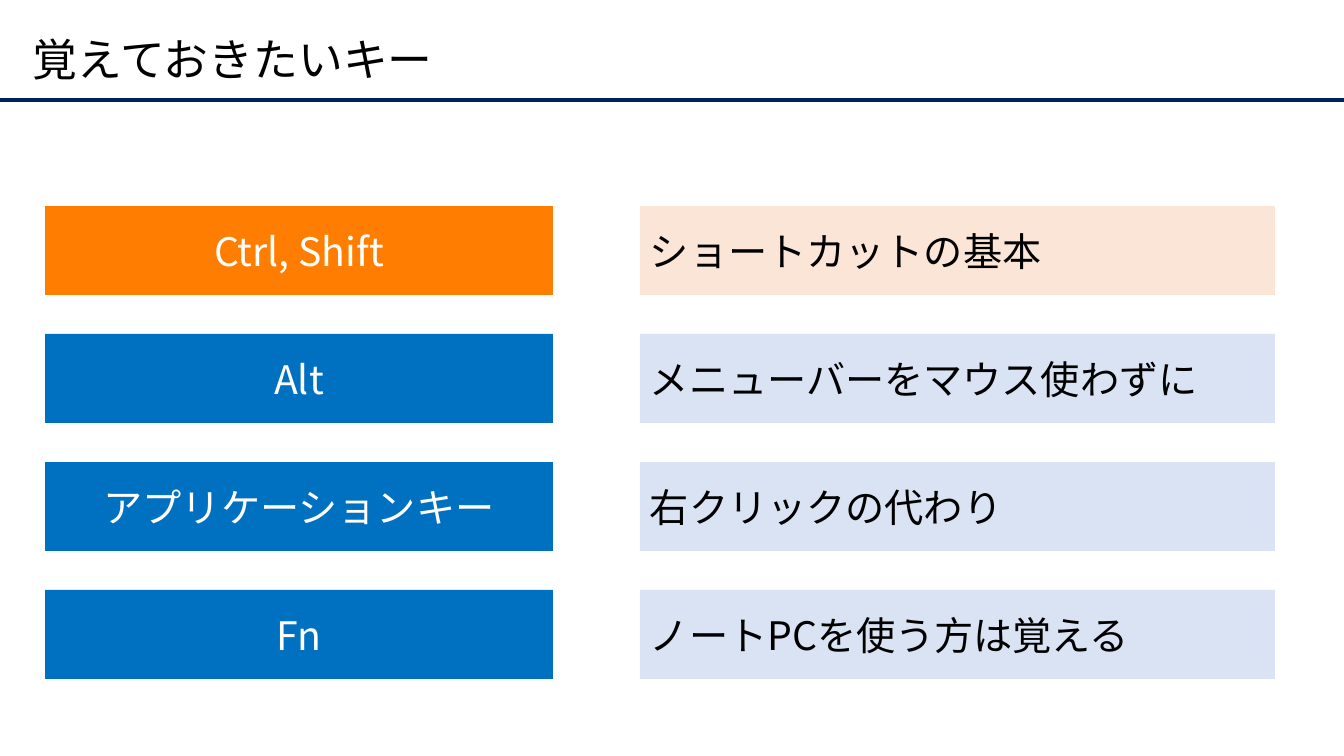
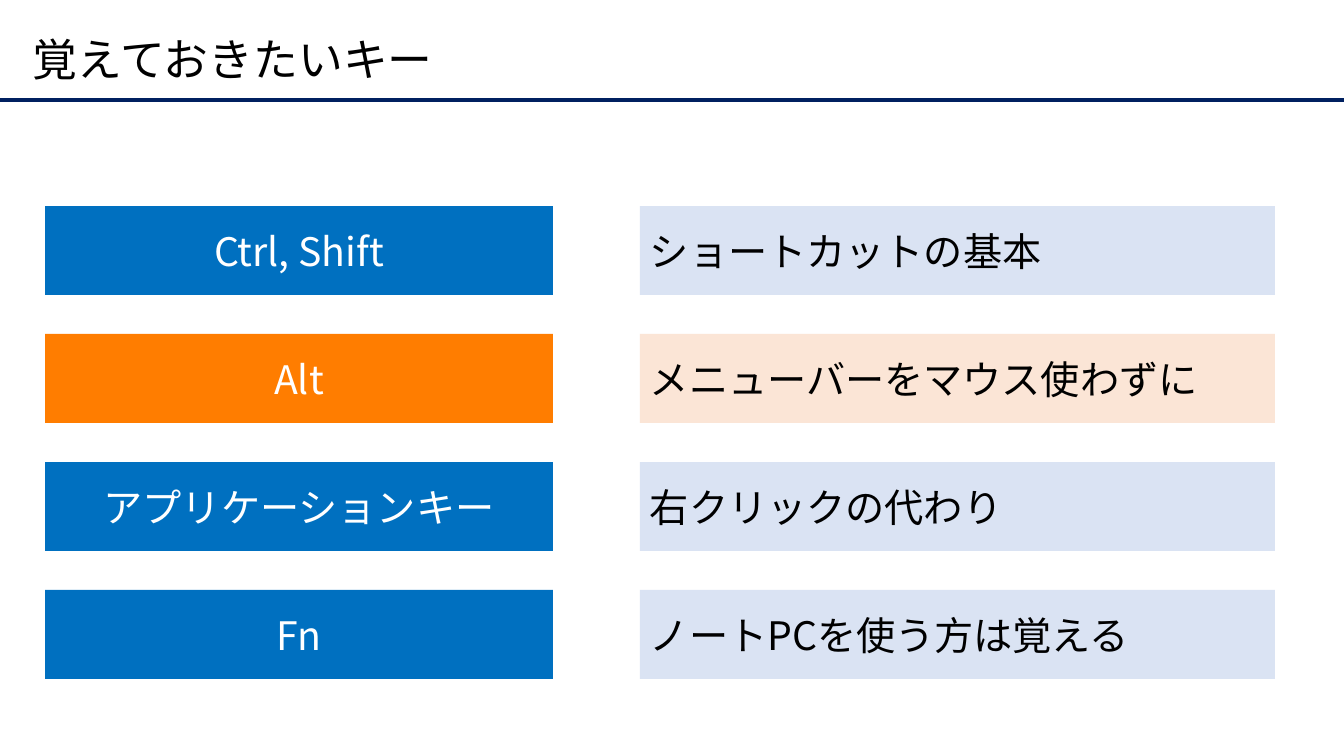
from lxml.etree import SubElement
from pptx import Presentation
from pptx.dml.color import RGBColor
from pptx.enum.shapes import MSO_CONNECTOR, MSO_SHAPE
from pptx.enum.text import MSO_ANCHOR, PP_ALIGN
from pptx.oxml.ns import qn
from pptx.util import Pt

PX = 914400 / 100.8
WIDTH, HEIGHT = 1344, 756
FONT = "Noto Sans CJK JP"

BLACK = RGBColor(0x00, 0x00, 0x00)
WHITE = RGBColor(0xFF, 0xFF, 0xFF)
NAVY = RGBColor(0x00, 0x20, 0x60)
BLUE = RGBColor(0x00, 0x70, 0xC0)
PALE_BLUE = RGBColor(0xDA, 0xE3, 0xF3)
ORANGE = RGBColor(0xFF, 0x7D, 0x00)
PALE_ORANGE = RGBColor(0xFB, 0xE5, 0xD6)

TITLE = "覚えておきたいキー"
KEYS = [
    ("Ctrl, Shift", "ショートカットの基本"),
    ("Alt", "メニューバーをマウス使わずに"),
    ("アプリケーションキー", "右クリックの代わり"),
    ("Fn", "ノートPCを使う方は覚える"),
]
HIGHLIGHTED_ROWS = [0, 1]  # one slide for each

ROW_TOP, ROW_HEIGHT, ROW_GAP = 206, 89, 39
KEY_LEFT, KEY_WIDTH = 45, 508
USE_LEFT, USE_WIDTH = 640, 635


def px(*lengths):
    return [round(n * PX) for n in lengths]


def write(sp, text, size, color, align=PP_ALIGN.LEFT, spacing=1.0):
    """Put one vertically centred paragraph into a shape."""
    tf = sp.text_frame
    tf.word_wrap = True
    tf.vertical_anchor = MSO_ANCHOR.MIDDLE
    p = tf.paragraphs[0]
    p.alignment = align
    p.line_spacing = spacing
    r = p.add_run()
    r.text = text
    for name, value in {"size": Pt(size), "name": FONT}.items():
        setattr(r.font, name, value)
    r.font.color.rgb = color
    SubElement(r.font._element, qn("a:ea"), typeface=FONT)


prs = Presentation()
prs.slide_width, prs.slide_height = px(WIDTH, HEIGHT)

for highlighted in HIGHLIGHTED_ROWS:
    s = prs.slides.add_slide(prs.slide_layouts[6])

    rule = s.shapes.add_connector(MSO_CONNECTOR.STRAIGHT, *px(0, 100, WIDTH, 100))
    rule.line.color.rgb = NAVY
    rule.line.width = Pt(2.25)
    SubElement(rule._element.spPr, qn("a:effectLst"))

    title = s.shapes.add_textbox(*px(23, 20, 1270, 85))
    write(title, TITLE, 32, BLACK, spacing=0.9)

    for row, (key, use) in enumerate(KEYS):
        top = ROW_TOP + row * (ROW_HEIGHT + ROW_GAP)
        strong, pale = (ORANGE, PALE_ORANGE) if row == highlighted else (BLUE, PALE_BLUE)
        for left, width, fill, text, color, align in (
            (KEY_LEFT, KEY_WIDTH, strong, key, WHITE, PP_ALIGN.CENTER),
            (USE_LEFT, USE_WIDTH, pale, use, BLACK, PP_ALIGN.LEFT),
        ):
            sp = s.shapes.add_shape(
                MSO_SHAPE.RECTANGLE, *px(left, top, width, ROW_HEIGHT))
            sp.shadow.inherit = False
            sp.fill.solid()
            sp.fill.fore_color.rgb = fill
            sp.line.fill.background()
            write(sp, text, 28, color, align)

prs.save("out.pptx")
